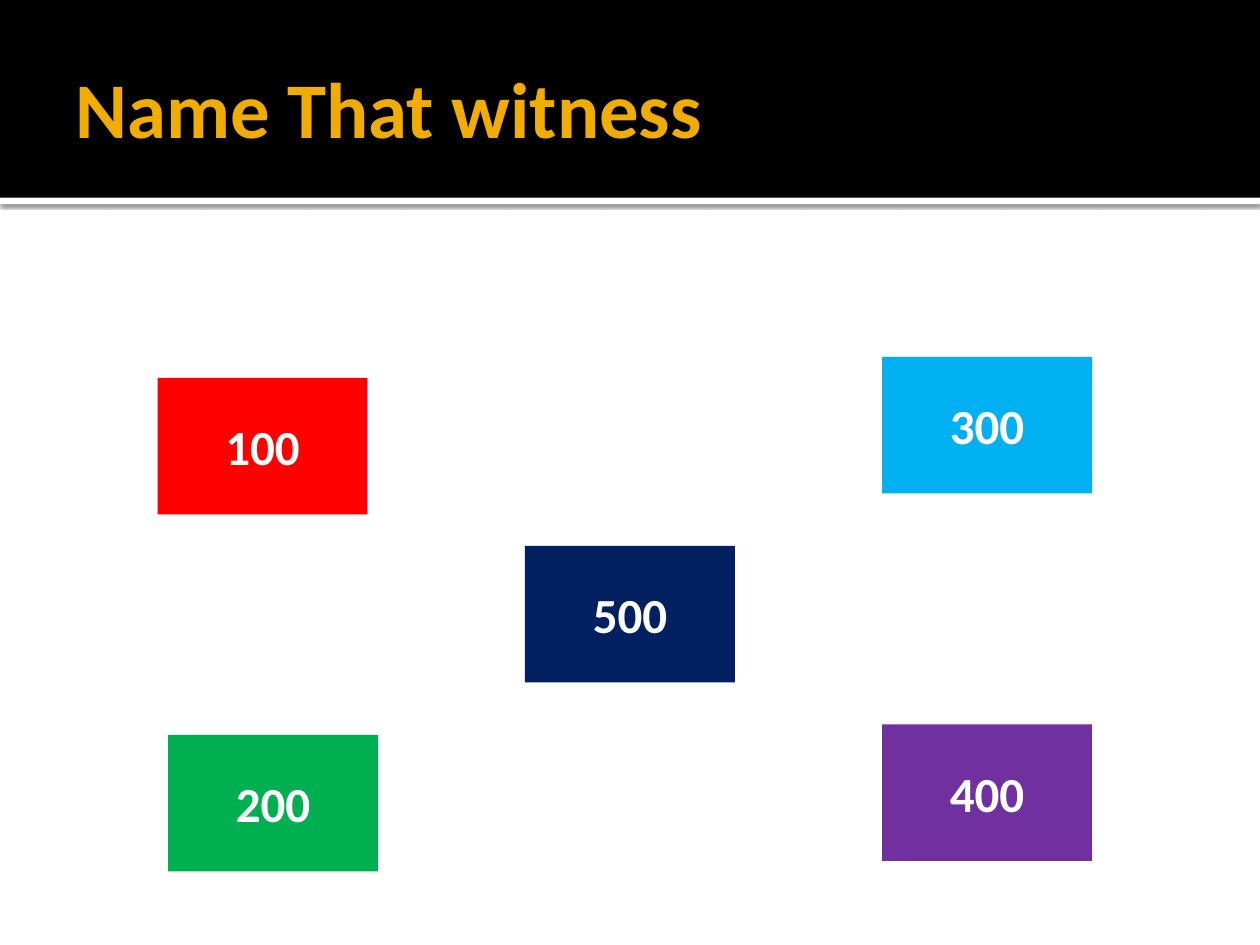
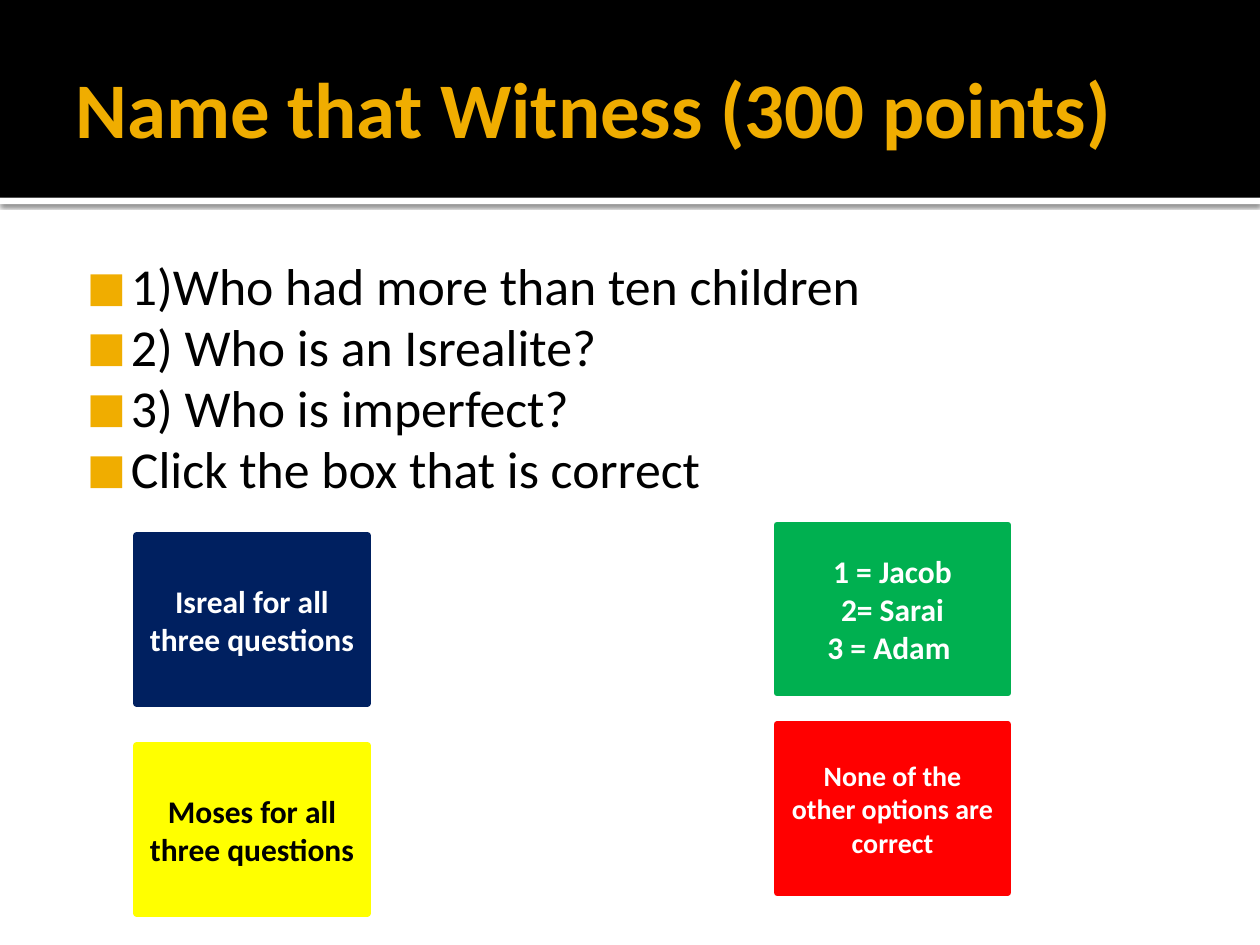
import pptx
import pptx.util
import pptx.dml.color
import pptx.enum.shapes
import pptx.enum.text
import pptx.oxml
import pptx.oxml.ns

RGB = pptx.dml.color.RGBColor
BLACK = RGB(0x00, 0x00, 0x00)
WHITE = RGB(0xFF, 0xFF, 0xFF)
GOLD = RGB(0xF0, 0xAD, 0x00)
RED = RGB(0xFF, 0x00, 0x00)
NAVY = RGB(0x00, 0x20, 0x60)
PURPLE = RGB(0x70, 0x30, 0xA0)
GREEN = RGB(0x00, 0xB0, 0x50)
SKY = RGB(0x00, 0xB0, 0xF0)
YELLOW = RGB(0xFF, 0xFF, 0x00)

FONT = "Calibri"
COLS, ROWS = 120, 90
CELL = pptx.util.Inches(10) // COLS
BAND_ROWS = 18.84
HEADER = (0, 0, COLS, BAND_ROWS)
CONTENT = (0, BAND_ROWS, COLS, ROWS - BAND_ROWS)
ANCHOR = pptx.enum.text.MSO_ANCHOR
CENTER = pptx.enum.text.PP_ALIGN.CENTER


def inside(box, col, row, cols, rows):
    """Turn a place within box into a place on the slide's grid."""
    return box[0] + col, box[1] + row, cols, rows


def lengths(box):
    return [round(n * CELL) for n in box]


def add_xml(parent, xml):
    parent.append(pptx.oxml.parse_xml(
        xml.replace(">", f" {pptx.oxml.ns.nsdecls('a')}>", 1)))


def add_bullet(p, left=0.48, hanging=0.35):
    pPr = p._p.get_or_add_pPr()
    pPr.set("marL", str(pptx.util.Inches(left)))
    pPr.set("indent", str(-pptx.util.Inches(hanging)))
    add_xml(pPr, f'<a:buClr><a:srgbClr val="{GOLD}"/></a:buClr>')
    add_xml(pPr, '<a:buSzPct val="80000"></a:buSzPct>')
    add_xml(pPr, f'<a:buFont typeface="{FONT}"></a:buFont>')
    add_xml(pPr, '<a:buChar char="■"></a:buChar>')


def write(s, text, size, color, bold=False, align=None, anchor=ANCHOR.MIDDLE,
          insets=(0.1, 0.05, 0.1, 0.05), bullets=False, spacing=None):
    tf = s.text_frame
    tf.word_wrap = True
    tf.vertical_anchor = anchor
    (tf.margin_left, tf.margin_top,
     tf.margin_right, tf.margin_bottom) = map(pptx.util.Inches, insets)
    tf.text = text
    for p in tf.paragraphs:
        p.alignment = align
        if spacing:
            p.line_spacing = spacing
        if bullets:
            add_bullet(p)
        for r in p.runs:
            r.font.name = FONT
            r.font.size = pptx.util.Pt(size)
            r.font.bold = bold
            r.font.color.rgb = color


def add_rect(slide, box, fill, line_width=0):
    s = slide.shapes.add_shape(pptx.enum.shapes.MSO_SHAPE.RECTANGLE, *lengths(box))
    s.shadow.inherit = False
    s.fill.solid()
    s.fill.fore_color.rgb = fill
    if line_width:
        s.line.color.rgb = fill
        s.line.width = pptx.util.Pt(line_width)
    else:
        s.line.fill.background()
    return s


def add_header(slide, box, title):
    stripe = add_rect(slide, inside(box, 0, box[3], box[2], 0.6), WHITE)
    add_xml(stripe._element.spPr.find(pptx.oxml.ns.qn("a:effectLst")),
            '<a:outerShdw blurRad="31750" dist="10160" dir="5400000">'
            f'<a:srgbClr val="{BLACK}"><a:alpha val="60000"/></a:srgbClr></a:outerShdw>')
    add_rect(slide, box, BLACK)
    s = slide.shapes.add_textbox(*lengths(inside(box, 6, 2, box[2] - 12, 16.44)))
    write(s, title, 45, GOLD, bold=True, insets=(0.1, 0.05, 0.05, 0.05))


def add_questions(slide, box, questions):
    s = slide.shapes.add_textbox(*lengths(inside(box, 6, 4.44, box[2] - 12, 22.68)))
    write(s, "\n".join(questions), 29.6, BLACK, anchor=ANCHOR.TOP,
          insets=(0.06, 0.1, 0.1, 0.05), bullets=True, spacing=0.98)


def add_tiles(slide, box, tiles, cols, rows, line_width=0):
    """Place tiles given as (text, column, row, fill, text colour, text size)."""
    for text, col, row, fill, color, size in tiles:
        s = add_rect(slide, inside(box, col, row, cols, rows), fill, line_width)
        write(s, text, size, color, bold=True, align=CENTER)


def new_slide(prs, title):
    slide = prs.slides.add_slide(prs.slide_layouts[6])
    add_header(slide, HEADER, title)
    return slide


def build_board(prs):
    slide = new_slide(prs, "Name That witness")
    scores = [
        ("100", 15, 17.16, RED),
        ("500", 50, 33.16, NAVY),
        ("400", 84, 50.16, PURPLE),
        ("200", 16, 51.16, GREEN),
        ("300", 84, 15.16, SKY),
    ]
    add_tiles(slide, CONTENT, [(*score, WHITE, 28) for score in scores], 20, 13)


def build_question(prs):
    slide = new_slide(prs, "Name that Witness (300 points)")
    add_questions(slide, CONTENT, [
        "1)Who had more than ten children",
        "2) Who is an Isrealite?",
        "3) Who is imperfect?",
        "Click the box that is correct",
    ])
    left, right = 13, 74
    add_tiles(slide, CONTENT, [
        ("Isreal for all three questions ", left, 32.16, NAVY, WHITE, 18),
        ("None of the other options are correct", right, 50.16, RED, WHITE, 16),
        ("1 = Jacob\n2= Sarai\n3 = Adam ", right, 31.16, GREEN, WHITE, 18),
        ("Moses for all three questions ", left, 52.16, YELLOW, BLACK, 18),
    ], 22, 16, line_width=3.78)


def main():
    prs = pptx.Presentation()
    prs.slide_width = COLS * CELL
    prs.slide_height = ROWS * CELL
    build_board(prs)
    build_question(prs)
    prs.save("out.pptx")


if __name__ == "__main__":
    main()
